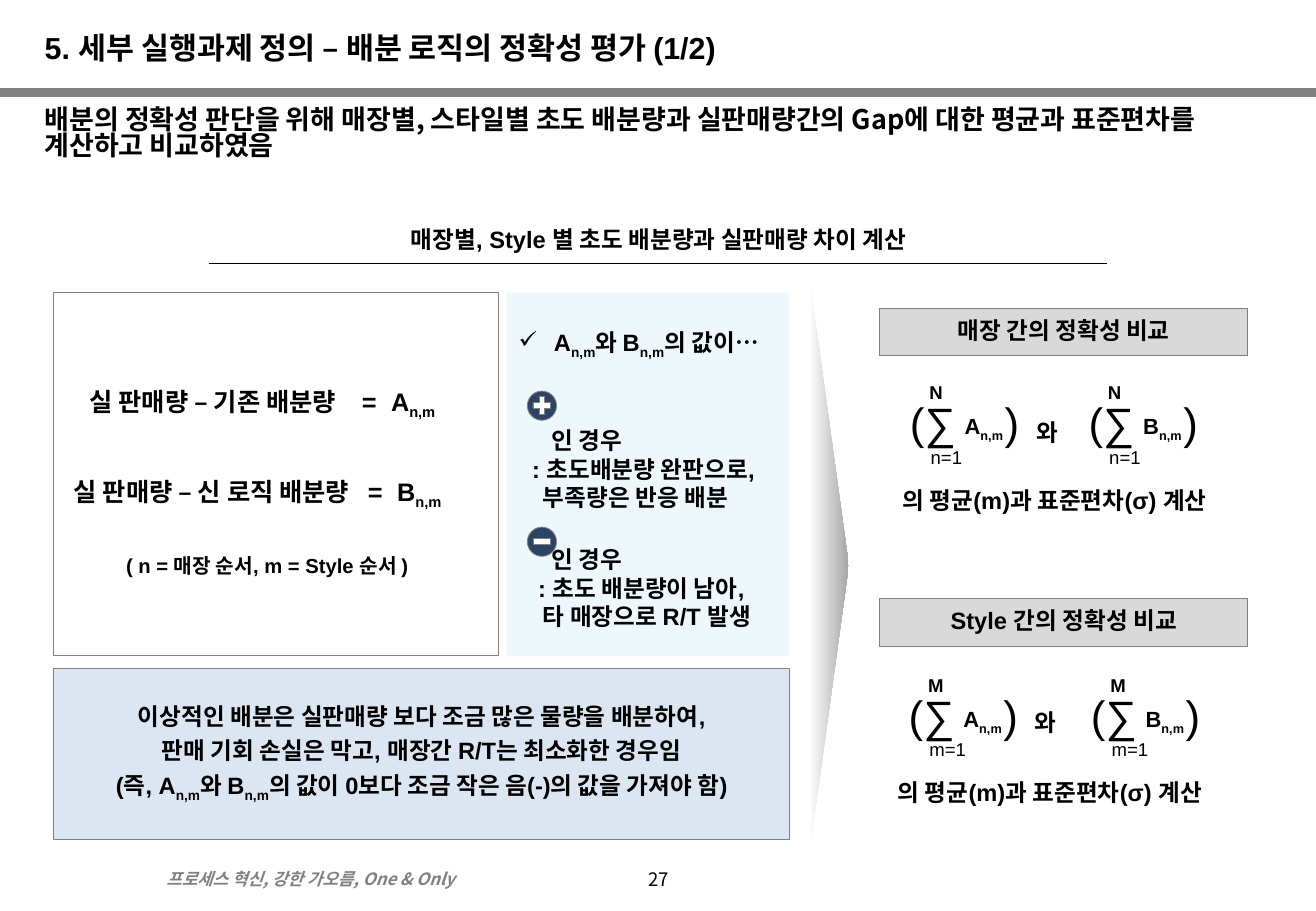
from lxml.etree import SubElement
from pptx import Presentation
from pptx.dml.color import RGBColor
from pptx.enum.shapes import MSO_CONNECTOR, MSO_SHAPE
from pptx.enum.text import MSO_ANCHOR, PP_ALIGN
from pptx.oxml.ns import qn
from pptx.util import Inches, Pt

COLORS = {
    "black": "000000", "white": "FFFFFF", "grey": "808080", "header": "D9D9D9",
    "arrow": "A6A6A6", "panel": "D6EBF6", "summary": "DCE6F2", "badge": "2C4364",
}
KOREAN_FONT = "Noto Sans CJK KR"
SUBSCRIPT = "n,m"
TIGHT = 0.82

presentation = Presentation()
presentation.slide_width, presentation.slide_height = Inches(10.83), Inches(7.5)
slide = presentation.slides.add_slide(presentation.slide_layouts[6])


def add_box(left, top, width, height, kind=None, fill=None, line=None, inset=(0.1, 0.05, 0.1, 0.05)):
    """Add a preset shape, or a text box when no kind is given."""
    place = [Inches(value) for value in (left, top, width, height)]
    if kind is None:
        shape = slide.shapes.add_textbox(*place)
    else:
        shape = slide.shapes.add_shape(kind, *place)
        shape.shadow.inherit = False
        shape.text_frame.vertical_anchor = MSO_ANCHOR.MIDDLE
        if fill:
            shape.fill.solid()
            shape.fill.fore_color.rgb = RGBColor.from_string(COLORS[fill])
        else:
            shape.fill.background()
        if line:
            shape.line.color.rgb = RGBColor.from_string(COLORS[line])
            shape.line.width = Pt(0.5)
        else:
            shape.line.fill.background()
    frame = shape.text_frame
    frame.word_wrap = True
    for side, value in zip(("left", "top", "right", "bottom"), inset):
        setattr(frame, f"margin_{side}", Inches(value))
    return shape


def write(shape, text, size=14, bold=True, color="black", font="Arial", italic=False,
          indent=None, bullet=None, tabs=(), **formats):
    """Write a paragraph into the shape, lowering each n,m as a subscript."""
    frame = shape.text_frame
    paragraph = frame.paragraphs[0]
    if paragraph.runs:
        paragraph = frame.add_paragraph()
    properties = paragraph._p.get_or_add_pPr()
    if indent:
        for name, value in zip(("marL", "indent"), indent):
            properties.set(name, str(Inches(value)))
    if bullet:
        SubElement(properties, qn("a:buChar"), char=bullet)
    if tabs:
        tab_list = SubElement(properties, qn("a:tabLst"))
        for position in tabs:
            SubElement(tab_list, qn("a:tab"), pos=str(Inches(position)), algn="l")
    settings = {"alignment": PP_ALIGN.LEFT, "line_spacing": TIGHT} | formats
    for name, value in settings.items():
        setattr(paragraph, name, value)
    for index, piece in enumerate(text.split(SUBSCRIPT)):
        for content, baseline in ((SUBSCRIPT if index else "", "-25000"), (piece, "0")):
            if not content:
                continue
            for position, part in enumerate(content.split("\n")):
                if position:
                    paragraph.add_line_break()
                run = paragraph.add_run()
                run.text = part
                values = {"name": font, "size": Pt(size), "bold": bold, "italic": italic}
                for name, value in values.items():
                    setattr(run.font, name, value)
                run.font.color.rgb = RGBColor.from_string(COLORS[color])
                run_properties = run._r.get_or_add_rPr()
                run_properties.set("baseline", baseline)
                SubElement(run_properties, qn("a:ea"), typeface=KOREAN_FONT)


CENTER = {"alignment": PP_ALIGN.CENTER}

# Rules under the title and the section heading
for left, right, top, color, width in ((0, 10.83, 0.76, "grey", 5), (1.72, 9.11, 2.17, "black", 0.75)):
    rule = slide.shapes.add_connector(
        MSO_CONNECTOR.STRAIGHT, Inches(left), Inches(top), Inches(right), Inches(top))
    rule.line.color.rgb = RGBColor.from_string(COLORS[color])
    rule.line.width = Pt(width)
    SubElement(rule._element.spPr, qn("a:effectLst"))

# Headings, formulas and footer
labels = [
    (4.92, 7.13, 1, 0.3, "27", {"size": 11, "bold": False, "font": KOREAN_FONT} | CENTER),
    (1.27, 7.13, 3.32, 0.27, "프로세스 혁신, 강한 가오름, One & Only",
     {"size": 10, "italic": True, "color": "grey", "font": KOREAN_FONT}),
    (0.27, 0.24, 10.24, 0.46, "5. 세부 실행과제 정의 – 배분 로직의 정확성 평가 (1/2)", {"size": 18}),
    (0.27, 0.84, 10.26, 0.83,
     "배분의 정확성 판단을 위해 매장별, 스타일별 초도 배분량과 실판매량간의 Gap에 대한 "
     "평균과 표준편차를 계산하고 비교하였음", {"size": 16, "font": KOREAN_FONT}),
    (2.54, 1.84, 5.76, 0.34, "매장별, Style 별 초도 배분량과 실판매량 차이 계산", CENTER),
    (0.64, 3.15, 3.4, 0.35, "실 판매량 – 기존 배분량\t=\tAn,m", {"size": 15, "tabs": (2.24, 2.48)}),
    (0.51, 3.89, 3.55, 0.35, "실 판매량 – 신 로직 배분량\t=\tBn,m", {"size": 15, "tabs": (2.42, 2.66)}),
    (0.94, 4.54, 3.1, 0.3, "( n = 매장 순서, m = Style 순서 )", {"size": 12}),
]
for left, top, width, height, text, formats in labels:
    write(add_box(left, top, width, height), text, **formats)

# Arrow between calculation and comparison
arrow = add_box(4.41, 4.49, 4.82, 0.33, MSO_SHAPE.ISOSCELES_TRIANGLE)
arrow.rotation = 90
arrow.fill.gradient()
arrow.fill.gradient_angle = 90
for stop, color in zip(arrow.fill.gradient_stops, ("white", "arrow")):
    stop.color.rgb = RGBColor.from_string(COLORS[color])

# Comparison blocks with their sums
comparisons = [
    ("매장 간의 정확성 비교", 2.54, "N", "n=1", 3.09, (7.39, 8.86), (8.33, 3.43), (7.33, 3.99)),
    ("Style 간의 정확성 비교", 4.93, "M", "m=1", 5.5, (7.38, 8.88), (8.31, 5.82), (7.29, 6.4)),
]
for heading, heading_top, upper, lower, sum_top, sum_lefts, joiner, result in comparisons:
    header = add_box(7.24, heading_top, 3.03, 0.39, MSO_SHAPE.RECTANGLE, "header", "grey", (0.1, 0, 0.1, 0))
    write(header, heading, **CENTER)
    for left, term in zip(sum_lefts, ("An,m", "Bn,m")):
        parts = [
            (0, 0.12, 1.17, 0.54, "(∑\t)", {"size": 26, "bold": False, "tabs": (0.78,)}),
            (0.17, 0.53, 0.6, 0.29, lower, {"size": 11, "bold": False}),
            (0.16, 0, 0.4, 0.29, upper, {"size": 11}),
            (0.45, 0.26, 0.65, 0.32, term, {"size": 13}),
        ]
        for across, down, width, height, text, formats in parts:
            write(add_box(left + across, sum_top + down, width, height), text, line_spacing=1.0, **formats)
    write(add_box(*joiner, 0.58, 0.34), "와", **CENTER)
    write(add_box(*result, 3.2, 0.34), "의 평균(m)과 표준편차(σ) 계산")

# Meaning of the plus and minus cases
panel = add_box(4.17, 2.41, 2.32, 2.99, MSO_SHAPE.RECTANGLE, "panel", inset=(0.1, 0.13, 0.04, 0.05))
panel_color = panel.fill._xPr.find(qn("a:solidFill"))[0]
SubElement(panel_color, qn("a:alpha"), val="40000")
case_lines = [
    ("An,m와 Bn,m의 값이…", {"indent": (0.29, -0.29), "bullet": "✓"}),
    ("인 경우", {"indent": (0.27, 0), "space_before": Pt(39)}),
    (": 초도배분량 완판으로, 부족량은 반응 배분", {"indent": (0.2, -0.09)}),
    ("인 경우", {"indent": (0.27, 0), "space_before": Pt(20)}),
    (": 초도 배분량이 남아,\n타 매장으로 R/T 발생", {"indent": (0.2, -0.04)}),
]
for text, formats in case_lines:
    write(panel, text, line_spacing=1.0, **formats)
for top, sign in ((3.22, MSO_SHAPE.MATH_PLUS), (4.34, MSO_SHAPE.MATH_MINUS)):
    add_box(4.34, top, 0.24, 0.24, MSO_SHAPE.OVAL, "badge", "grey")
    add_box(4.36, top + 0.02, 0.2, 0.2, sign, "white", "grey")

# Ideal allocation and formula frame
summary = add_box(0.44, 5.5, 6.06, 1.41, MSO_SHAPE.RECTANGLE, "summary", "grey", (0.08, 0, 0.08, 0))
summary_lines = [
    "이상적인 배분은 실판매량 보다 조금 많은 물량을 배분하여,",
    "판매 기회 손실은 막고, 매장간 R/T는 최소화한 경우임",
    "(즉, An,m와 Bn,m의 값이 0보다 조금 작은 음(-)의 값을 가져야 함)",
]
for index, text in enumerate(summary_lines):
    write(summary, text, space_before=Pt(6 if index else 0), **CENTER)
add_box(0.44, 2.41, 3.66, 2.99, MSO_SHAPE.RECTANGLE, line="grey")

presentation.save("out.pptx")
